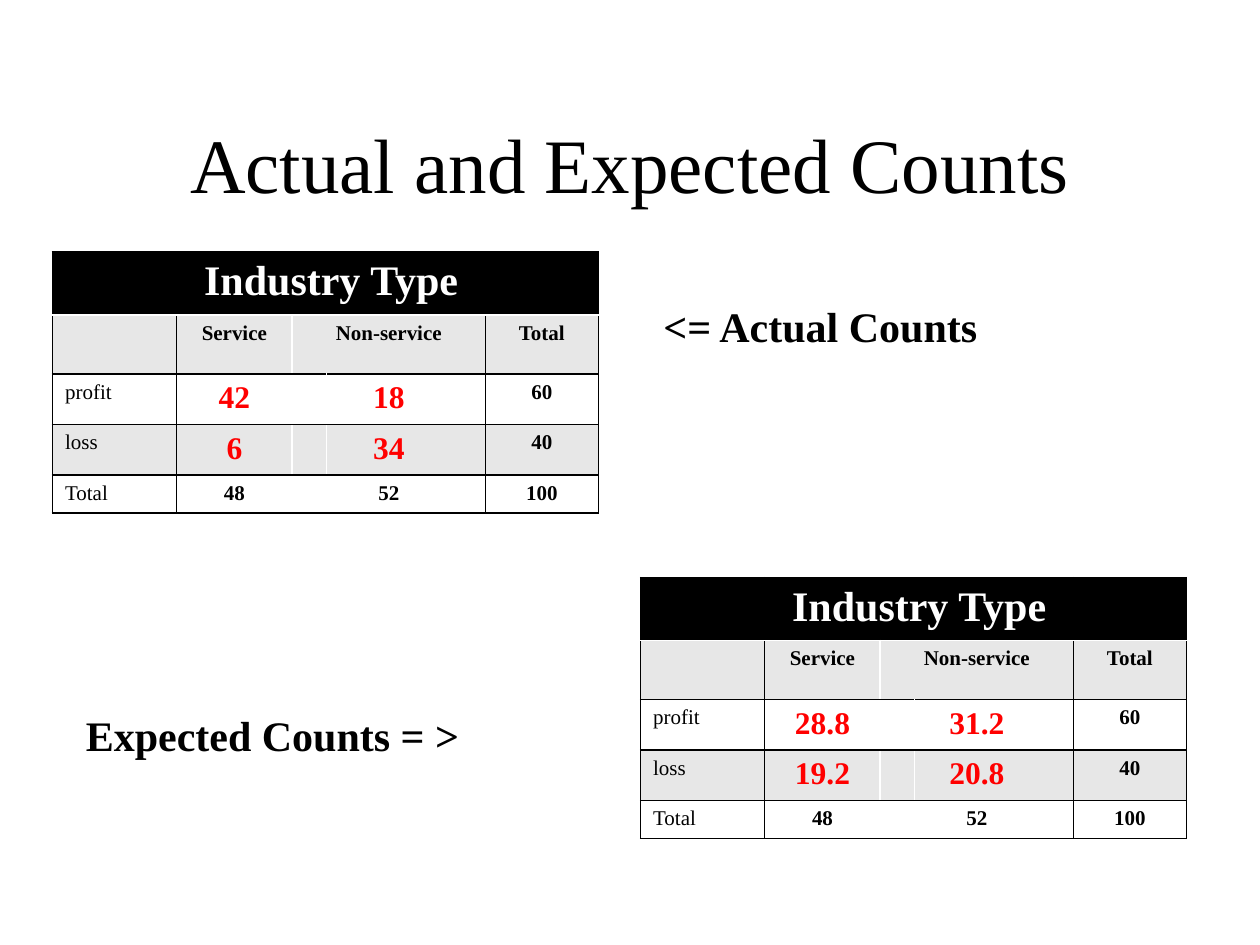
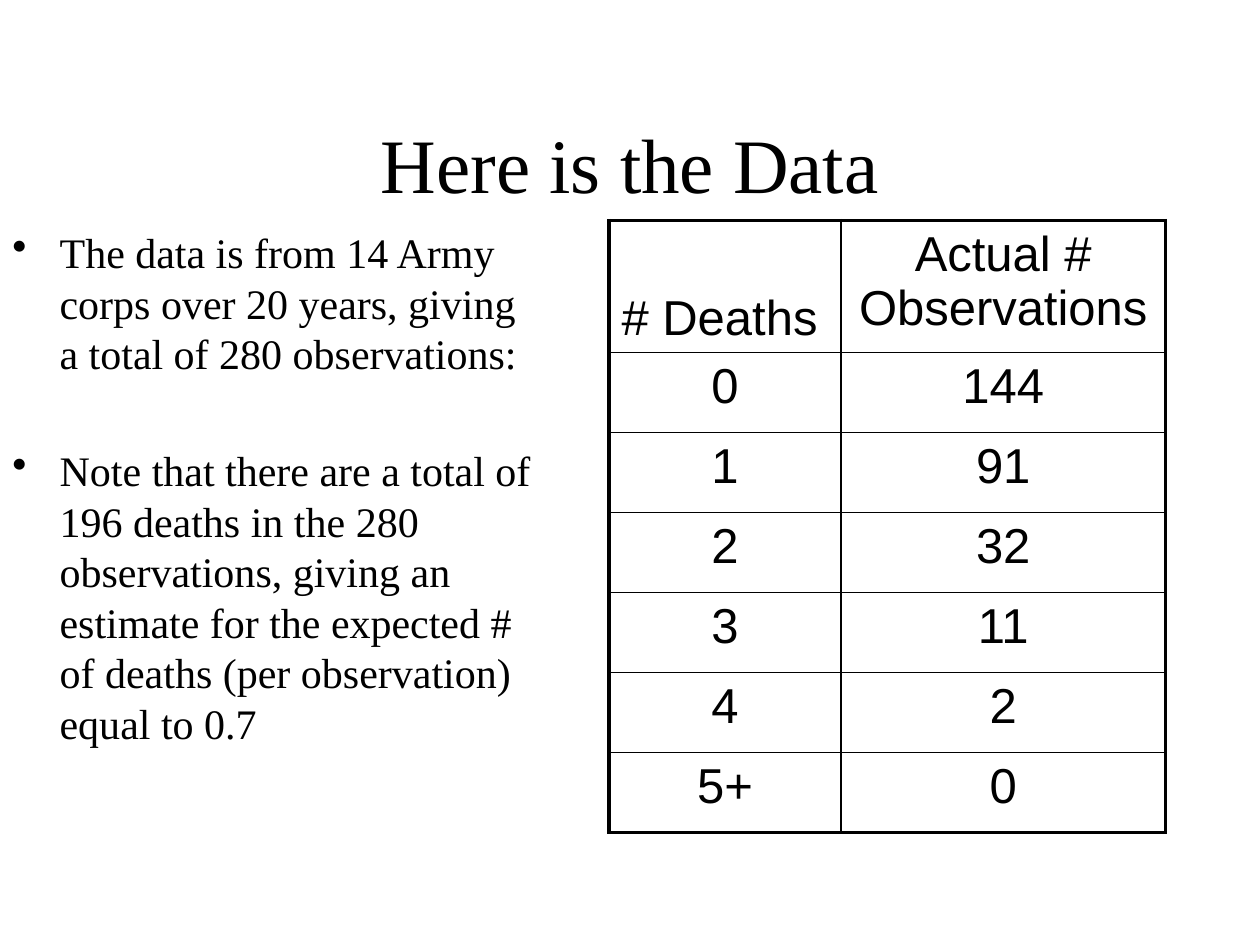
"""Build two statistics slides: contingency tables and a table of observed deaths."""
from dataclasses import dataclass

from lxml import etree
from pptx import Presentation
from pptx.dml.color import RGBColor
from pptx.enum.text import MSO_ANCHOR, PP_ALIGN
from pptx.oxml.ns import qn
from pptx.util import Pt

LEFT, CENTER = PP_ALIGN.LEFT, PP_ALIGN.CENTER
TOP, MIDDLE, BOTTOM = MSO_ANCHOR.TOP, MSO_ANCHOR.MIDDLE, MSO_ANCHOR.BOTTOM


@dataclass(frozen=True)
class Theme:
    """Colours, fonts and type sizes shared by the slides."""
    black: str = "000000"
    white: str = "FFFFFF"
    band: str = "E7E7E7"
    accent: str = "FF0000"
    serif: str = "Times New Roman"
    sans: str = "Arial"
    title: float = 44
    data: float = 28
    heading: float = 24
    count: float = 18
    small: float = 12
    thin: float = 1
    thick: float = 2.25


THEME = Theme()

COUNT_COLUMNS = (71, 66, 19.5, 71.5, 19.5, 64.5)
COUNT_ROWS = (34, 33.8, 27, 27, 20.5)
DEATH_COLUMNS = (132.5, 185.5)
DEATH_ROWS = (75.5,) + (45.75,) * 6

ACTUAL = (("42", "18", "60"), ("6", "34", "40"), ("48", "52", "100"))
EXPECTED = (("28.8", "31.2", "60"), ("19.2", "20.8", "40"), ("48", "52", "100"))
DEATHS = (
    ("# Deaths", "Actual # Observations"),
    ("0", "144"), ("1", "91"), ("2", "32"), ("3", "11"), ("4", "2"), ("5+", "0"),
)
NOTES = (
    "The data is from 14 Army corps over 20 years, giving a total of 280 observations:",
    "Note that there are a total of 196 deaths in the 280 observations, giving an "
    "estimate for the expected # of deaths (per observation) equal to 0.7",
)


def add_run(paragraph, text, size, color=THEME.black, bold=False, font=THEME.serif):
    """Append one formatted run to a paragraph."""
    run = paragraph.add_run()
    run.text = text
    run.font.name = font
    run.font.size = Pt(size)
    run.font.bold = bold
    run.font.color.rgb = RGBColor.from_string(color)


def add_text_frame(slide, left, top, width, height, anchor=TOP):
    """Add a wrapping text box and return its text frame."""
    shape = slide.shapes.add_textbox(Pt(left), Pt(top), Pt(width), Pt(height))
    frame = shape.text_frame
    frame.word_wrap = True
    frame.vertical_anchor = anchor
    return frame


def add_title(slide, text):
    """Add the centred slide title."""
    paragraph = add_text_frame(slide, 54, 48, 612, 90, MIDDLE).paragraphs[0]
    paragraph.alignment = CENTER
    add_run(paragraph, text, THEME.title)


def add_label(slide, text, left, top, width):
    """Add a bold label beside a table."""
    paragraph = add_text_frame(slide, left, top, width, 36).paragraphs[0]
    add_run(paragraph, text, THEME.heading, bold=True)


def add_bullets(slide, texts, left, top, width, height):
    """Add a bulleted list with hanging indents."""
    frame = add_text_frame(slide, left, top, width, height)
    for index, text in enumerate(texts):
        paragraph = frame.add_paragraph() if index else frame.paragraphs[0]
        paragraph.line_spacing = Pt(28.85)
        paragraph.space_before = Pt(38 if index else 0)
        properties = paragraph._p.get_or_add_pPr()
        properties.set("marL", str(Pt(27)))
        properties.set("indent", str(-Pt(27)))
        etree.SubElement(properties, qn("a:buChar"), char="•")
        add_run(paragraph, text, THEME.heading)


def add_plain_table(slide, left, top, columns, rows):
    """Add a table without banding, sized by its columns and rows."""
    shape = slide.shapes.add_table(len(rows), len(columns), Pt(left), Pt(top),
                                   Pt(sum(columns)), Pt(sum(rows)))
    table = shape.table
    table.first_row = table.horz_banding = False
    for column, width in zip(table.columns, columns):
        column.width = Pt(width)
    for row, height in zip(table.rows, rows):
        row.height = Pt(height)
    return table


def set_borders(cell, left, right, top, bottom):
    """Draw the four cell borders, each given as a (colour, width) pair."""
    properties = cell._tc.get_or_add_tcPr()
    for side, (color, width) in zip("LRTB", (left, right, top, bottom)):
        line = etree.SubElement(properties, qn(f"a:ln{side}"), w=str(Pt(width)))
        if color is None:
            etree.SubElement(line, qn("a:noFill"))
        else:
            fill = etree.SubElement(line, qn("a:solidFill"))
            etree.SubElement(fill, qn("a:srgbClr"), val=color)


def write_cell(cell, text, size, alignment=CENTER, **style):
    """Write one aligned run in a table cell."""
    paragraph = cell.text_frame.paragraphs[0]
    paragraph.alignment = alignment
    add_run(paragraph, text, size, **style)


def style_count_grid(table):
    """Fill and rule every cell of a counts table."""
    black, white, hidden = ((color, THEME.thin) for color in (THEME.black, THEME.white, None))
    fills = (THEME.black, THEME.band, THEME.white, THEME.band, THEME.white)
    across = (black, white, black, black, black, black)
    body = (black, black, white, white, hidden, black, black)
    down = ((black,) * 7, (black, black, white) + (black,) * 4, body, body, body)
    for row, fill in enumerate(fills):
        for column in range(len(COUNT_COLUMNS)):
            cell = table.cell(row, column)
            set_borders(cell, down[row][column], down[row][column + 1],
                        across[row], across[row + 1])
            cell.fill.solid()
            cell.fill.fore_color.rgb = RGBColor.from_string(fill)
            etree.SubElement(cell.text_frame.paragraphs[0]._p, qn("a:endParaRPr"),
                             sz=str(int(THEME.small * 100)))


def add_count_table(slide, left, top, counts):
    """Add a profit and loss by industry contingency table."""
    table = add_plain_table(slide, left, top, COUNT_COLUMNS, COUNT_ROWS)
    style_count_grid(table)
    table.cell(0, 1).merge(table.cell(0, 4))
    table.cell(1, 2).merge(table.cell(1, 4))
    write_cell(table.cell(0, 1), "Industry Type", THEME.heading, color=THEME.white, bold=True)
    for column, text in ((1, "Service"), (2, "Non-service"), (5, "Total")):
        write_cell(table.cell(1, column), text, THEME.small, bold=True)
    for row, (name, values) in enumerate(zip(("profit", "loss", "Total"), counts), start=2):
        write_cell(table.cell(row, 0), name, THEME.small, LEFT)
        for column, value in zip((1, 3, 5), values):
            is_count = name != "Total" and column != 5
            write_cell(table.cell(row, column), value,
                       THEME.count if is_count else THEME.small,
                       color=THEME.accent if is_count else THEME.black, bold=True)


def add_death_table(slide, left, top):
    """Add the table of deaths with a thick frame and thin inner rules."""
    table = add_plain_table(slide, left, top, DEATH_COLUMNS, DEATH_ROWS)
    thin, thick = (THEME.black, THEME.thin), (THEME.black, THEME.thick)
    across = (thick,) + (thin,) * (len(DEATHS) - 1) + (thick,)
    down = (thick, thin, thick)
    for row, texts in enumerate(DEATHS):
        for column, text in enumerate(texts):
            cell = table.cell(row, column)
            set_borders(cell, down[column], down[column + 1], across[row], across[row + 1])
            cell.fill.background()
            is_corner = row == column == 0
            cell.vertical_anchor = BOTTOM if is_corner else TOP
            write_cell(cell, text, THEME.data, LEFT if is_corner else CENTER, font=THEME.sans)


def add_slide(presentation, title):
    """Add a blank slide with a title."""
    slide = presentation.slides.add_slide(presentation.slide_layouts[6])
    add_title(slide, title)
    return slide


def main():
    """Build and save the presentation."""
    presentation = Presentation()
    presentation.slide_width, presentation.slide_height = Pt(720), Pt(540)

    slide = add_slide(presentation, "Actual and Expected Counts")
    add_count_table(slide, 30, 144, ACTUAL)
    add_count_table(slide, 366, 330, EXPECTED)
    add_label(slide, "<= Actual Counts", 372, 168, 198)
    add_label(slide, "Expected Counts = >", 42, 402, 246)

    slide = add_slide(presentation, "Here is the Data")
    add_bullets(slide, NOTES, 0, 126, 318, 356)
    add_death_table(slide, 348, 126)

    presentation.save("out.pptx")


if __name__ == "__main__":
    main()
